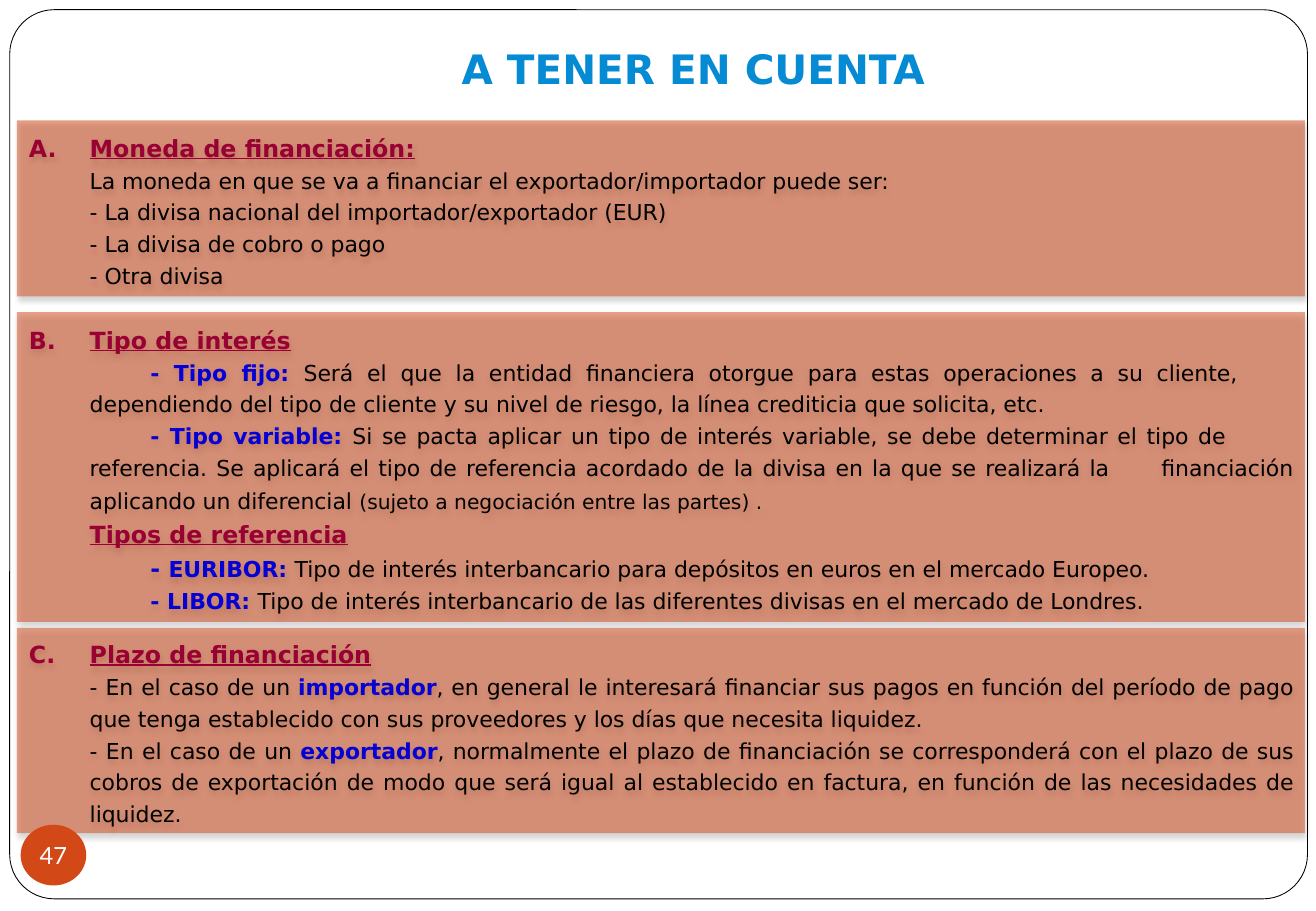
"""Build the slide on currency, interest rate and term of trade financing."""
from lxml import etree
from pptx import Presentation
from pptx.dml.color import RGBColor
from pptx.enum.shapes import MSO_SHAPE
from pptx.enum.text import MSO_ANCHOR, MSO_AUTO_SIZE, PP_ALIGN
from pptx.oxml.ns import qn
from pptx.util import Pt

ROUNDED, RECTANGLE, OVAL = MSO_SHAPE.ROUNDED_RECTANGLE, MSO_SHAPE.RECTANGLE, MSO_SHAPE.OVAL
MIDDLE, CENTER, JUSTIFY = MSO_ANCHOR.MIDDLE, PP_ALIGN.CENTER, PP_ALIGN.JUSTIFY
GROW = MSO_AUTO_SIZE.SHAPE_TO_FIT_TEXT

PX = 9144
SLIDE = (1083, 750)
FRAME = (8, 8, 1068, 732)
TITLE_BOX = (370, 31, 409, 50)
PAGE_BADGE = (17, 679, 54, 50)
PANEL_LEFT, PANEL_WIDTH, INDENT = 14, 1060, 50

COLORS = {"title": "058AD4", "heading": "990033", "key": "0500D4", "black": "000000",
          "white": "FFFFFF", "orange": "D34817"}
TEXT_FONT, NUMBER_FONT = "DejaVu Sans", "Lato"

STYLES = {
    "title": (24, "title", True, False),
    "heading": (14, "heading", True, True),
    "body": (13, "black", False, False),
    "key": (13, "key", True, False),
    "big key": (14, "key", True, False),
    "space": (14, "black", False, False),
    "note": (12, "black", False, False),
    "page": (14, "white", False, False),
}

TITLE, PAGE = "A TENER EN CUENTA", "47"
PANELS = [
    (99, 145, [
        [("heading", "Moneda de financiación:")],
        [("body", "\tLa moneda en que se va a financiar el exportador/importador puede ser:")],
        [("body", "\t- La divisa nacional del importador/exportador (EUR)")],
        [("body", "\t- La divisa de cobro o pago")],
        [("body", "\t- Otra divisa")],
    ]),
    (257, 255, [
        [("heading", "Tipo de interés")],
        [("body", "\t\t"), ("key", "- Tipo fijo: "),
         ("body", "Será el que la entidad financiera otorgue para estas operaciones a su cliente, "
                  "\tdependiendo del tipo de cliente y su nivel de riesgo, la línea crediticia "
                  "que solicita, etc.")],
        [("body", "\t\t"), ("key", "- Tipo variable: "),
         ("body", "Si se pacta aplicar un tipo de interés variable, se debe determinar el tipo de "
                  "\treferencia. Se aplicará el tipo de referencia acordado de la divisa en la "
                  "que se realizará la \tfinanciación aplicando un diferencial"),
         ("space", " "), ("note", "(sujeto a negociación entre las partes) .")],
        [("body", "\t"), ("heading", "Tipos de referencia")],
        [("space", "\t\t"), ("big key", "- "), ("key", "EURIBOR: "),
         ("body", "Tipo de interés interbancario para depósitos en euros en el mercado Europeo.")],
        [("body", "\t\t"), ("key", "- LIBOR: "),
         ("body", "Tipo de interés interbancario de las diferentes divisas en el mercado "
                  "de Londres.")],
    ]),
    (517, 169, [
        [("heading", "Plazo de financiación")],
        [("body", "\t- En el caso de un "), ("key", "importador"),
         ("body", ", en general le interesará financiar sus pagos en función del período de pago "
                  "que tenga establecido con sus proveedores y los días que necesita liquidez.")],
        [("body", "\t- En el caso de un "), ("key", "exportador"),
         ("body", ", normalmente el plazo de financiación se corresponderá con el plazo de sus "
                  "cobros de exportación de modo que será igual al establecido en factura, en "
                  "función de las necesidades de liquidez.")],
    ]),
]


def rgb(name):
    return RGBColor.from_string(COLORS[name])


def emu(box):
    return [length * PX for length in box]


def add_box(slide, kind, box, fill):
    shape = slide.shapes.add_shape(kind, *emu(box))
    shape.shadow.inherit = False
    shape.fill.solid()
    shape.fill.fore_color.rgb = rgb(fill)
    shape.line.fill.background()
    return shape


def add_run(paragraph, style, text, font_name=TEXT_FONT):
    size, color, bold, underline = STYLES[style]
    run = paragraph.add_run()
    run.text = text
    run.font.name, run.font.size = font_name, Pt(size)
    run.font.bold, run.font.underline = bold, underline
    run.font.color.rgb = rgb(color)


def add_alpha(color, percent):
    etree.SubElement(color, qn("a:alpha"), val=str(percent * 1000))


def soften(shape):
    properties = shape._element.spPr
    add_alpha(properties.find(qn("a:solidFill")).find(qn("a:srgbClr")), 50)
    shadow = etree.SubElement(properties.find(qn("a:effectLst")), qn("a:outerShdw"),
                              blurRad=str(Pt(3.5)), dist=str(Pt(2.2)), dir="5400000",
                              rotWithShape="0")
    add_alpha(etree.SubElement(shadow, qn("a:srgbClr"), val=COLORS["black"]), 32)


def add_panel(slide, number, top, height, paragraphs):
    shape = add_box(slide, RECTANGLE, (PANEL_LEFT, top, PANEL_WIDTH, height), "orange")
    soften(shape)
    frame = shape.text_frame
    frame.word_wrap, frame.auto_size, frame.vertical_anchor = True, GROW, MIDDLE
    for index, runs in enumerate(paragraphs):
        paragraph = frame.add_paragraph() if index else frame.paragraphs[0]
        properties = paragraph._p.get_or_add_pPr()
        properties.set("marL", str(INDENT * PX))
        properties.set("indent", str(-INDENT * PX))
        if index == 0:
            etree.SubElement(properties, qn("a:buFont"), typeface="+mj-lt")
            etree.SubElement(properties, qn("a:buAutoNum"), type="alphaUcPeriod",
                             startAt=str(number))
        paragraph.alignment, paragraph.line_spacing = JUSTIFY, 1.2
        for style, text in runs:
            add_run(paragraph, style, text)


def main():
    presentation = Presentation()
    presentation.slide_width, presentation.slide_height = emu(SLIDE)
    slide = presentation.slides.add_slide(presentation.slide_layouts[6])

    border = add_box(slide, ROUNDED, FRAME, "white")
    border.adjustments[0] = 0.05
    border.line.color.rgb, border.line.width = rgb("black"), Pt(0.5)

    title = slide.shapes.add_textbox(*emu(TITLE_BOX)).text_frame
    title.word_wrap, title.auto_size = False, GROW
    add_run(title.paragraphs[0], "title", TITLE)

    for number, panel in enumerate(PANELS, start=1):
        add_panel(slide, number, *panel)

    badge = add_box(slide, OVAL, PAGE_BADGE, "orange").text_frame
    badge.margin_left = badge.margin_right = badge.margin_top = badge.margin_bottom = 0
    badge.word_wrap, badge.vertical_anchor = False, MIDDLE
    badge.paragraphs[0].alignment = CENTER
    add_run(badge.paragraphs[0], "page", PAGE, NUMBER_FONT)

    presentation.save("out.pptx")


if __name__ == "__main__":
    main()
